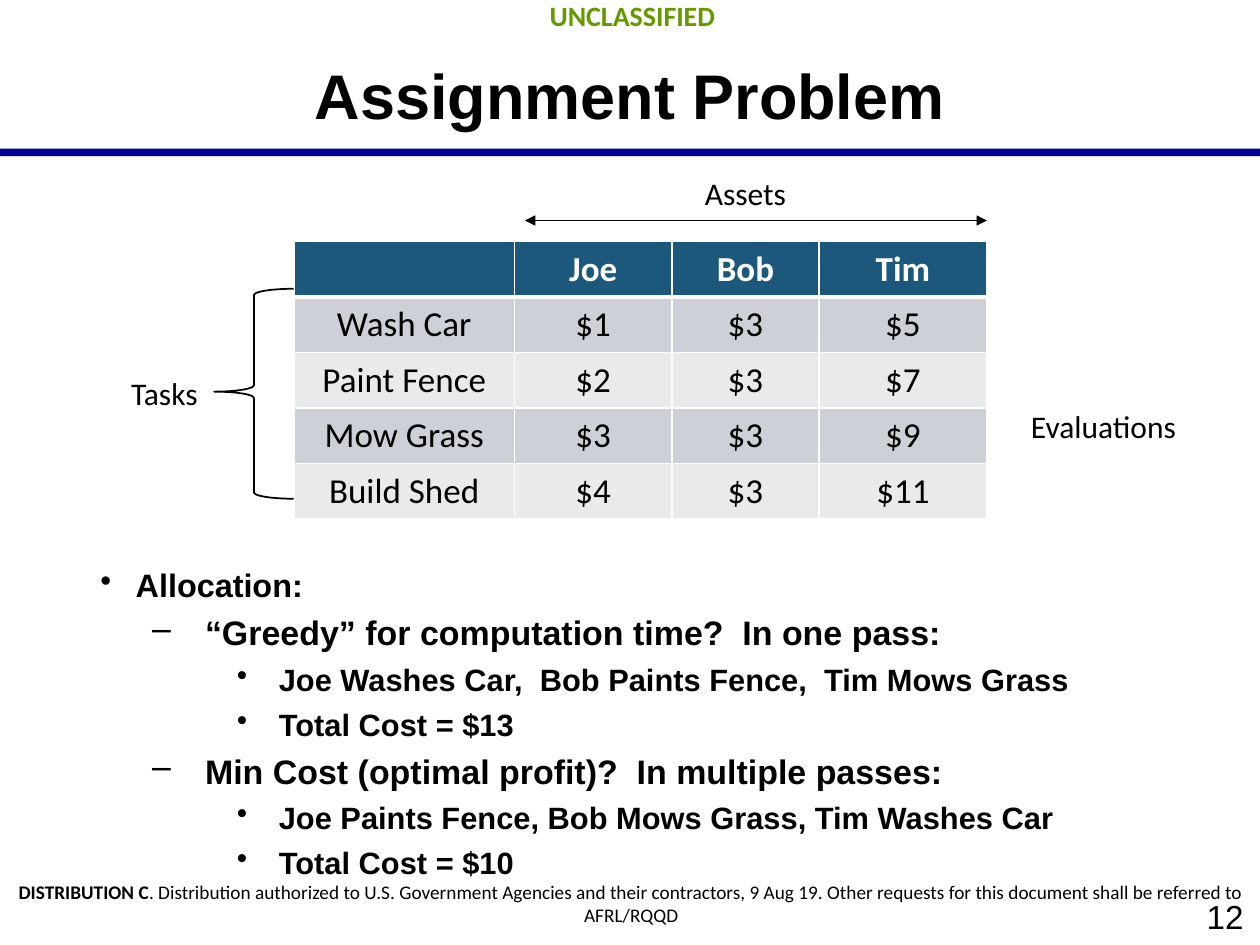
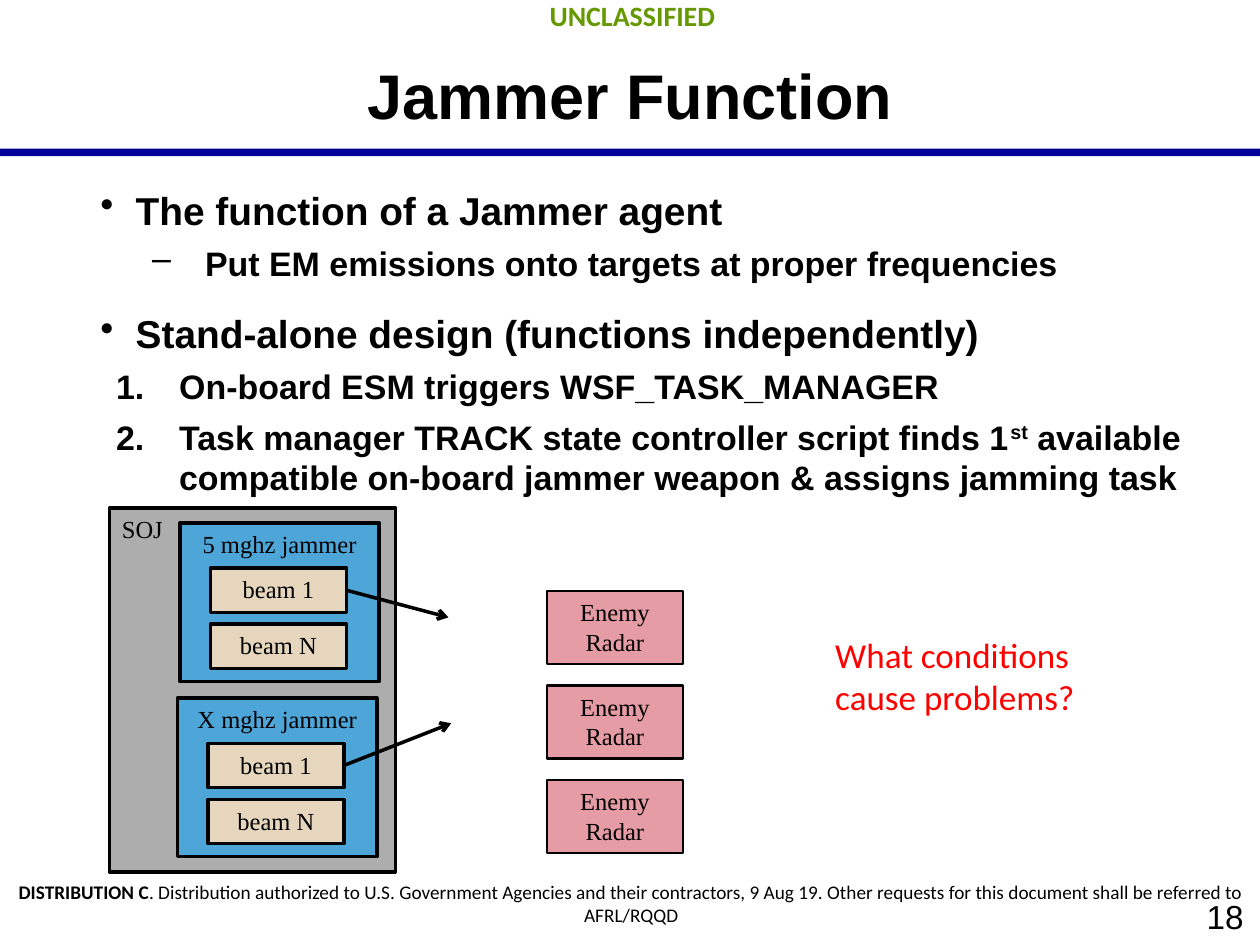
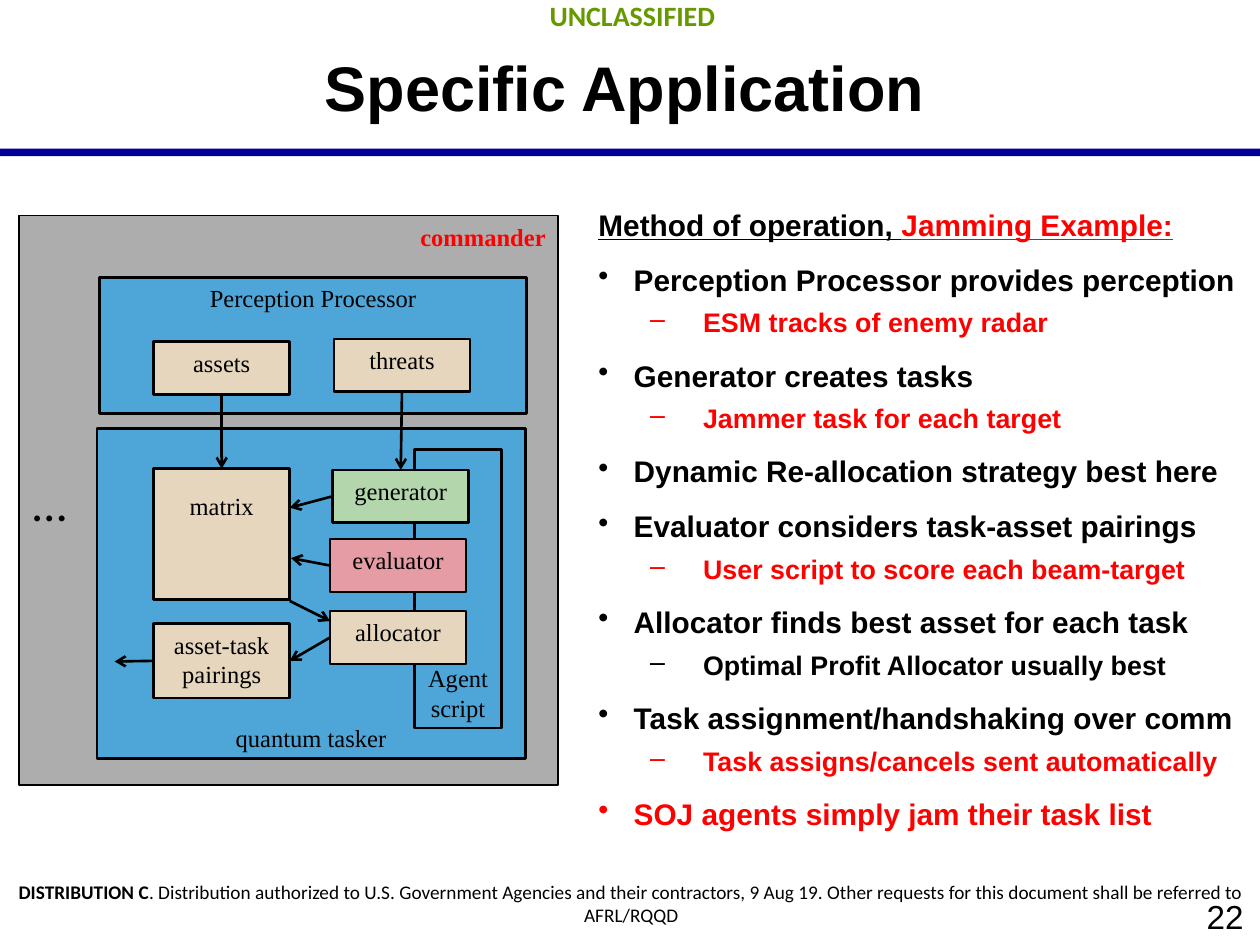
import collections
import dataclasses

import lxml.etree
import pptx
import pptx.dml.color
import pptx.enum.shapes
import pptx.enum.text
import pptx.oxml.ns
import pptx.util

Pt = pptx.util.Pt
ALIGN = pptx.enum.text.PP_ALIGN
ANCHOR = pptx.enum.text.MSO_ANCHOR
SHAPE = pptx.enum.shapes.MSO_SHAPE

BLACK, WHITE, RED = "000000", "FFFFFF", "FF0000"
NAVY, GREEN_MARK = "000099", "669900"
GRAY, BLUE, SAND, PINK, MINT = "ADADAD", "4EA5D8", "E6D6BD", "E69CA4", "B3D6AC"
HEADER_BLUE, ROW_DARK, ROW_LIGHT = "1B587C", "CDD1D7", "E8EAEC"
SANS, HUMANIST, SERIF = "Arial", "Calibri", "Times New Roman"
WIDE_MARGINS = (9.36, 5.04)
BLOCK_WIDTH = 77.8


class Box(collections.namedtuple("Box", "left top width height")):
    def inner(self, left, top, width, height):
        return Box(self.left + left, self.top + top, width, height)

    def point(self, x, y):
        return self.left + x, self.top + y

    def lengths(self):
        return [Pt(value) for value in self]


@dataclasses.dataclass
class Level:
    size: float
    left: float
    hang: float
    before: float
    bullet: str = ""
    spacing: float = 1.0


def rgb(value):
    return pptx.dml.color.RGBColor.from_string(value)


def add_xml(parent, tag, **attributes):
    return lxml.etree.SubElement(parent, pptx.oxml.ns.qn(tag), attributes)


def write(frame, paragraphs, size=14, font=SERIF, color=BLACK, bold=False,
          align=ALIGN.LEFT, anchor=ANCHOR.TOP, margins=(7.2, 3.6), wrap=True):
    frame.auto_size = pptx.enum.text.MSO_AUTO_SIZE.NONE
    frame.word_wrap = wrap
    frame.vertical_anchor = anchor
    frame.margin_left = frame.margin_right = Pt(margins[0])
    frame.margin_top = frame.margin_bottom = Pt(margins[1])
    if isinstance(paragraphs, str):
        paragraphs = [paragraphs]
    for index, runs in enumerate(paragraphs):
        paragraph = frame.add_paragraph() if index else frame.paragraphs[0]
        paragraph.alignment = align
        for words, change in [(runs, {})] if isinstance(runs, str) else runs:
            run = paragraph.add_run()
            run.text = words
            run.font.name = font
            run.font.size = Pt(change.get("size", size))
            run.font.bold = change.get("bold", bold)
            run.font.color.rgb = rgb(change.get("color", color))
            if change.get("underline"):
                run.font.underline = True
            if change.get("raised"):
                run.font._element.set("baseline", "30000")


def label(slide, box, words, **fmt):
    frame = slide.shapes.add_textbox(*box.lengths()).text_frame
    write(frame, words, **fmt)
    return frame


def block(slide, box, fill, words="", outline=1.5, kind=SHAPE.RECTANGLE, **fmt):
    shape = slide.shapes.add_shape(kind, *box.lengths())
    shape.shadow.inherit = False
    if fill:
        shape.fill.solid()
        shape.fill.fore_color.rgb = rgb(fill)
    else:
        shape.fill.background()
    if outline:
        shape.line.color.rgb = rgb(BLACK)
        shape.line.width = Pt(outline)
    else:
        shape.line.fill.background()
    if words:
        write(shape.text_frame, words, **{"align": ALIGN.CENTER, **fmt})
    return shape


def arrow(slide, start, end, width=1.5, tail="arrow", head=None):
    connector = slide.shapes.add_connector(
        pptx.enum.shapes.MSO_CONNECTOR.STRAIGHT, 0, 0, 0, 0)
    if isinstance(start[0], (int, float)):
        connector.begin_x, connector.begin_y = Pt(start[0]), Pt(start[1])
    else:
        connector.begin_connect(*start)
    if isinstance(end[0], (int, float)):
        connector.end_x, connector.end_y = Pt(end[0]), Pt(end[1])
    else:
        connector.end_connect(*end)
    connector.line.color.rgb = rgb(BLACK)
    connector.line.width = Pt(width)
    properties = connector._element.spPr
    outline = properties.find(pptx.oxml.ns.qn("a:ln"))
    if head:
        add_xml(outline, "a:headEnd", type=head)
    add_xml(outline, "a:tailEnd", type=tail)
    add_xml(properties, "a:effectLst")


def outline_list(slide, box, items):
    paragraphs = []
    for level, runs in items:
        runs = [(runs, {})] if isinstance(runs, str) else runs
        paragraphs.append([(words, {"size": level.size, **change}) for words, change in runs])
    frame = label(slide, box, paragraphs, font=SANS, bold=True, margins=WIDE_MARGINS)
    for index, (level, _) in enumerate(items):
        paragraph = frame.paragraphs[index]
        properties = paragraph._p.get_or_add_pPr()
        properties.set("marL", str(Pt(level.left)))
        properties.set("indent", str(-Pt(level.hang)))
        if level.bullet == "1.":
            add_xml(properties, "a:buAutoNum", type="arabicPeriod")
        elif level.bullet:
            add_xml(properties, "a:buChar", char=level.bullet)
        else:
            add_xml(properties, "a:buNone")
        paragraph.line_spacing = level.spacing
        paragraph.space_before = Pt(level.before if index else 0)


def base_slide(deck, title, number, title_box=Box(30, 24.5, 660, 42.5)):
    slide = deck.slides.add_slide(deck.slide_layouts[5])
    heading = slide.shapes.title
    heading.left, heading.top, heading.width, heading.height = title_box.lengths()
    write(heading.text_frame, title, size=36, font=SANS, bold=True,
          align=ALIGN.CENTER, margins=(7.2, 7.5))
    block(slide, Box(0, 85, 720, 4.3), NAVY, outline=0)
    label(slide, Box(576, 507.6, 144, 32.4), number, size=19, font=SANS,
          align=ALIGN.RIGHT, anchor=ANCHOR.MIDDLE, margins=WIDE_MARGINS)
    marking = dict(font=HUMANIST, align=ALIGN.CENTER, margins=WIDE_MARGINS)
    label(slide, Box(1.4, -5.8, 720, 28.8), "UNCLASSIFIED", size=16,
          color=GREEN_MARK, bold=True, **marking)
    label(slide, Box(0, 498.2, 721.4, 36), [[
        ("DISTRIBUTION C", {"bold": True}),
        (". Distribution authorized to U.S. Government Agencies and their contractors, "
         "9 Aug 19. Other requests for this document shall be referred to AFRL/RQQD", {}),
    ]], size=11, **marking)
    return slide


def cost_table(slide, box, rows, widths):
    table = slide.shapes.add_table(len(rows), len(widths), *box.lengths()).table
    for column, width in zip(table.columns, widths):
        column.width = Pt(width)
    for r, row in enumerate(rows):
        table.rows[r].height = Pt(box.height / len(rows))
        fill = HEADER_BLUE if r == 0 else ROW_DARK if r % 2 else ROW_LIGHT
        for c, words in enumerate(row):
            cell = table.cell(r, c)
            properties = cell._tc.get_or_add_tcPr()
            thick_side = {0: "B", 1: "T"}.get(r)
            for side in "LRTB":
                width = Pt(3 if side == thick_side else 1)
                border = add_xml(properties, "a:ln" + side, w=str(width))
                add_xml(add_xml(border, "a:solidFill"), "a:srgbClr", val=WHITE)
            cell.fill.solid()
            cell.fill.fore_color.rgb = rgb(fill)
            cell.vertical_anchor = ANCHOR.MIDDLE
            if words:
                paragraph = cell.text_frame.paragraphs[0]
                paragraph.alignment = ALIGN.CENTER
                run = paragraph.add_run()
                run.text = words
                run.font.name, run.font.size = HUMANIST, Pt(20)
                run.font.bold = r == 0
                run.font.color.rgb = rgb(BLACK if r else WHITE)


def cost_matrix(slide, box):
    cost_table(slide, box.inner(144, 42, 396, 156), [
        ["", "Joe", "Bob", "Tim"],
        ["Wash Car", "$1", "$3", "$5"],
        ["Paint Fence", "$2", "$3", "$7"],
        ["Mow Grass", "$3", "$3", "$9"],
        ["Build Shed", "$4", "$3", "$11"],
    ], [126, 90, 84, 96])
    brace = block(slide, box.inner(98.4, 69, 45.4, 120), None, outline=1,
                  kind=SHAPE.LEFT_BRACE)
    brace.adjustments[0], brace.adjustments[1] = 0.08, 0.49
    for words, place, align in [
        ("Tasks", (0, 114, 96, 28.8), ALIGN.RIGHT),
        ("Assets", (276, 0, 252, 28.8), ALIGN.CENTER),
        ("Evaluations", (558, 133, 114, 28.8), ALIGN.LEFT),
    ]:
        label(slide, box.inner(*place), words, size=18, font=HUMANIST, align=align)
    arrow(slide, box.point(276, 30), box.point(540, 30), width=1,
          tail="triangle", head="triangle")


def jammer_diagram(slide, box):
    block(slide, box.inner(0, 0, 163.4, 208), GRAY, "SOJ", outline=2, align=ALIGN.LEFT)
    for name, left, top, target in [
        ("5 mghz jammer", 40.3, 8.6, (193.7, 62.6)),
        ("X mghz jammer", 38.9, 108.7, (195.2, 123.1)),
    ]:
        jammer = box.inner(left, top, 113.8, 90.7)
        block(slide, jammer, BLUE, name, outline=2)
        beams = [block(slide, jammer.inner(17.3, 25.9 + 32 * i, BLOCK_WIDTH, 25.2),
                       SAND, beam, outline=2)
                 for i, beam in enumerate(["beam 1", "beam N"])]
        arrow(slide, (beams[0], 3), box.point(*target), width=2)
    for i in range(3):
        block(slide, box.inner(249.9, 47.5 + 54 * i, BLOCK_WIDTH, 41.8), PINK, "Enemy Radar")
    label(slide, box.inner(407.6, 68.4, 191.5, 55.4), "What conditions cause problems?",
          size=20, font=HUMANIST, color=RED)


def commander_diagram(slide, box):
    def part(left, top, words, fill=SAND, height=30.2, **fmt):
        return block(slide, box.inner(left, top, BLOCK_WIDTH, height), fill, words, **fmt)

    block(slide, box, GRAY, "commander", outline=1, color=RED, bold=True, align=ALIGN.RIGHT)
    block(slide, box.inner(44.6, 121.7, 244.8, 188.6), BLUE, "quantum tasker",
          anchor=ANCHOR.BOTTOM)
    block(slide, box.inner(46.1, 35.3, 244.1, 77.8), BLUE, "Perception Processor")
    block(slide, box.inner(226.1, 133.9, 49.7, 159.1), BLUE, ["Agent", "script"],
          anchor=ANCHOR.BOTTOM)
    matrix = part(77, 144.7, "matrix", height=74.9, margins=(7.2, 13))
    generator = part(179.3, 145.4, "generator", MINT)
    threats = part(180, 70.6, "threats")
    assets = part(77, 72, "assets")
    pairings = part(77, 233.3, "asset-task pairings", height=42.5)
    allocator = part(177.8, 226.1, "allocator")
    evaluator = part(177.8, 185, "evaluator", PINK)
    for start, end in [
        ((generator, 1), box.point(154.8, 167)),
        ((threats, 2), (generator, 0)),
        ((assets, 2), (matrix, 0)),
        ((allocator, 1), (pairings, 3)),
        (box.point(154.8, 220.3), box.point(177.8, 231.8)),
        ((evaluator, 1), box.point(155.5, 195.8)),
        ((pairings, 1), box.point(54.7, 254.9)),
    ]:
        arrow(slide, start, end)
    label(slide, box.inner(0.7, 143.3, 42.5, 41), "…", size=28, font=HUMANIST, wrap=False)


def assignment_slide(deck):
    slide = base_slide(deck, "Assignment Problem", "12")
    cost_matrix(slide, Box(24, 96, 672, 198))
    topic = Level(18.5, 38.2, 20.2, 8, "•")
    method = Level(19.4, 77.8, 30.2, 4.5, "–")
    result = Level(17.6, 120, 24, 4.5, "•")
    outline_list(slide, Box(30, 318, 660, 172), [
        (topic, "Allocation:"),
        (method, "“Greedy” for computation time?\u00a0 In one pass:".replace("\u00a0", " ")),
        (result, "Joe Washes Car,  Bob Paints Fence,  Tim Mows Grass"),
        (result, "Total Cost = $13"),
        (method, "Min Cost (optimal profit)?  In multiple passes:"),
        (result, "Joe Paints Fence, Bob Mows Grass, Tim Washes Car"),
        (result, "Total Cost = $10"),
    ])


def jammer_slide(deck):
    slide = base_slide(deck, "Jammer Function", "18")
    topic = Level(22.2, 38.2, 20.2, 10, "•", 1.2)
    detail = Level(19.4, 77.8, 30.2, 5.4, "–")
    step = Level(19.4, 63, 36, 5.4, "1.")
    outline_list(slide, Box(30, 96, 660, 190), [
        (topic, "The function of a Jammer agent"),
        (detail, "Put EM emissions onto targets at proper frequencies"),
        (topic, "Stand-alone design (functions independently)"),
        (step, "On-board ESM triggers WSF_TASK_MANAGER"),
        (step, [("Task manager TRACK state controller script finds 1", {}),
                ("st", {"raised": True}),
                (" available compatible on-board jammer weapon & assigns jamming task", {})]),
    ])
    jammer_diagram(slide, Box(62.6, 290.2, 599, 208))


def application_slide(deck):
    slide = base_slide(deck, "Specific Application", "22", Box(33, 20, 648, 55.4))
    heading = Level(17, 18, 0, 8.9, spacing=1.1)
    topic = Level(17, 38.2, 20.2, 8.9, "•", 1.1)
    detail = Level(15.3, 77.8, 30.2, 5.1, "–")

    def red(words):
        return [(words, {"color": RED})]

    outline_list(slide, Box(314.6, 110.9, 403.2, 375), [
        (heading, [("Method of operation, ", {"underline": True}),
                   ("Jamming Example:", {"underline": True, "color": RED})]),
        (topic, "Perception Processor provides perception"),
        (detail, red("ESM tracks of enemy radar")),
        (topic, "Generator creates tasks"),
        (detail, red("Jammer task for each target")),
        (topic, "Dynamic Re-allocation strategy best here"),
        (topic, "Evaluator considers task-asset pairings"),
        (detail, red("User script to score each beam-target")),
        (topic, "Allocator finds best asset for each task"),
        (detail, "Optimal Profit Allocator usually best"),
        (topic, "Task assignment/handshaking over comm"),
        (detail, red("Task assigns/cancels sent automatically")),
        (topic, red("SOJ agents simply jam their task list")),
    ])
    commander_diagram(slide, Box(10.8, 123.1, 308.2, 325.4))


def main():
    deck = pptx.Presentation()
    deck.slide_width, deck.slide_height = Pt(720), Pt(540)
    assignment_slide(deck)
    jammer_slide(deck)
    application_slide(deck)
    deck.save("out.pptx")


if __name__ == "__main__":
    main()
